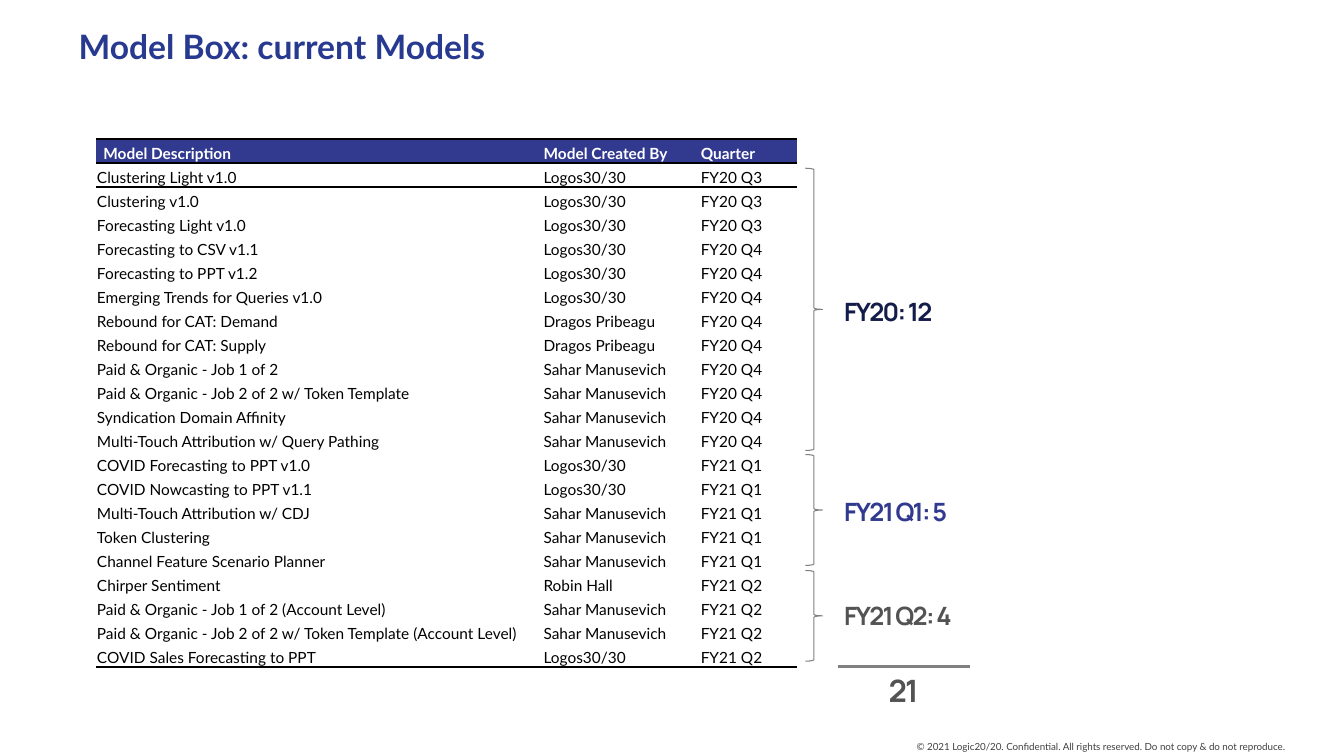
from pptx import Presentation
from pptx.dml.color import RGBColor
from pptx.enum.shapes import MSO_CONNECTOR, MSO_SHAPE
from pptx.enum.text import MSO_ANCHOR, PP_ALIGN
from pptx.oxml import parse_xml
from pptx.oxml.ns import nsdecls, qn
from pptx.util import Pt

TOP, MIDDLE, BOTTOM = MSO_ANCHOR.TOP, MSO_ANCHOR.MIDDLE, MSO_ANCHOR.BOTTOM
LEFT, CENTER = PP_ALIGN.LEFT, PP_ALIGN.CENTER
BRACE, STRAIGHT = MSO_SHAPE.RIGHT_BRACE, MSO_CONNECTOR.STRAIGHT

BLACK = RGBColor(0, 0, 0)
WHITE = RGBColor(255, 255, 255)
TITLE_BLUE = RGBColor(0x28, 0x3A, 0x8F)
BLUE = RGBColor(0x32, 0x3A, 0x8F)
NAVY = RGBColor(0x14, 0x1D, 0x49)
DARK_GRAY = RGBColor(0x53, 0x53, 0x53)
FOOTER_GRAY = RGBColor(0x40, 0x40, 0x40)
LINE_GRAY = RGBColor(0x80, 0x80, 0x80)
NO_STYLE = "{2D5ABB26-0587-4C30-8999-92F81FD0307C}"

HEADER = ("Model Description", "Model Created By", "Quarter")
MODELS = [
    ("Clustering Light v1.0", "Logos30/30", "FY20 Q3"),
    ("Clustering v1.0", "Logos30/30", "FY20 Q3"),
    ("Forecasting Light v1.0", "Logos30/30", "FY20 Q3"),
    ("Forecasting to CSV v1.1", "Logos30/30", "FY20 Q4"),
    ("Forecasting to PPT v1.2", "Logos30/30", "FY20 Q4"),
    ("Emerging Trends for Queries v1.0", "Logos30/30", "FY20 Q4"),
    ("Rebound for CAT: Demand", "Dragos Pribeagu", "FY20 Q4"),
    ("Rebound for CAT: Supply", "Dragos Pribeagu", "FY20 Q4"),
    ("Paid & Organic - Job 1 of 2", "Sahar Manusevich", "FY20 Q4"),
    ("Paid & Organic - Job 2 of 2 w/ Token Template", "Sahar Manusevich", "FY20 Q4"),
    ("Syndication Domain Affinity", "Sahar Manusevich", "FY20 Q4"),
    ("Multi-Touch Attribution w/ Query Pathing", "Sahar Manusevich", "FY20 Q4"),
    ("COVID Forecasting to PPT v1.0", "Logos30/30", "FY21 Q1"),
    ("COVID Nowcasting to PPT v1.1", "Logos30/30", "FY21 Q1"),
    ("Multi-Touch Attribution w/ CDJ", "Sahar Manusevich", "FY21 Q1"),
    ("Token Clustering", "Sahar Manusevich", "FY21 Q1"),
    ("Channel Feature Scenario Planner", "Sahar Manusevich", "FY21 Q1"),
    ("Chirper Sentiment", "Robin Hall", "FY21 Q2"),
    ("Paid & Organic - Job 1 of 2 (Account Level)", "Sahar Manusevich", "FY21 Q2"),
    ("Paid & Organic - Job 2 of 2 w/ Token Template (Account Level)", "Sahar Manusevich", "FY21 Q2"),
    ("COVID Sales Forecasting to PPT", "Logos30/30", "FY21 Q2"),
]


def write(tf, text, size=11, font="Lato", color=BLACK, bold=False, align=LEFT,
          spacing=1.0, tracking=0):
    p = tf.paragraphs[0]
    p.alignment = align
    p.line_spacing = spacing
    r = p.add_run()
    r.text = text
    r.font.size = Pt(size)
    r.font.name = font
    r.font.bold = bold
    r.font.color.rgb = color
    if tracking:
        r._r.get_or_add_rPr().set("spc", str(int(tracking * 100)))
    return p


prs = Presentation()
prs.slide_width, prs.slide_height = Pt(960), Pt(540)
slide = prs.slides.add_slide(prs.slide_layouts[5])
shapes = slide.shapes

title = shapes.title
title.left, title.top, title.width, title.height = Pt(49), Pt(18), Pt(795.6), Pt(70.6)
title.text_frame.vertical_anchor = TOP
write(title.text_frame, "Model Box: current Models", size=24, color=TITLE_BLUE,
      bold=True, spacing=0.9)

footer = shapes.add_textbox(Pt(639.4), Pt(519.1), Pt(293.8), Pt(28.8))
footer.text_frame.word_wrap = True
footer.text_frame.vertical_anchor = MIDDLE
write(footer.text_frame,
      "© 2021 Logic20/20. Confidential. All rights reserved. Do not copy & do not reproduce.",
      size=7, color=FOOTER_GRAY, align=CENTER)

rows = [HEADER] + MODELS
gf = shapes.add_table(len(rows), len(HEADER), Pt(68.6), Pt(99.3), Pt(500.4), Pt(377.3))
gf._element.find(".//" + qn("a:tableStyleId")).text = NO_STYLE
table = gf.table
table.horz_banding = False
for column, width in zip(table.columns, (319, 112.3, 69.1)):
    column.width = Pt(width)
for i, row in enumerate(rows):
    table.rows[i].height = Pt(17.15)
    is_header = i == 0
    edges = {0: ("lnT", "lnB"), 1: ("lnT",), len(rows) - 1: ("lnB",)}.get(i, ())
    for j, text in enumerate(row):
        cell = table.cell(i, j)
        cell.vertical_anchor = BOTTOM
        cell.margin_left = cell.margin_right = cell.margin_top = Pt(0.7)
        cell.margin_bottom = 0
        p = write(cell.text_frame, text, bold=is_header,
                  color=WHITE if is_header else BLACK)
        if is_header and j == 0:
            p._p.get_or_add_pPr().set("indent", str(Pt(4.5)))
        for edge in edges:
            cell._tc.get_or_add_tcPr().append(parse_xml(
                f'<a:{edge} {nsdecls("a")} w="{Pt(2)}"><a:solidFill>'
                f'<a:srgbClr val="{BLACK}"/></a:solidFill></a:{edge}>'))
        cell.fill.solid()
        cell.fill.fore_color.rgb = BLUE if is_header else WHITE

for top, height in ((120.2, 201.6), (324.7, 79.2), (407.5, 64.8)):
    sp = shapes.add_shape(BRACE, Pt(575.3), Pt(top), Pt(12.2), Pt(height))
    sp.shadow.inherit = False
    sp.fill.background()
    sp.line.color.rgb = LINE_GRAY
    sp.line.width = Pt(0.75)

total_line = shapes.add_connector(STRAIGHT, Pt(598.3), Pt(476), Pt(692.6), Pt(476))
total_line.line.color.rgb = LINE_GRAY
total_line.line.width = Pt(2.25)
total_line._element.spPr.append(parse_xml(f'<a:effectLst {nsdecls("a")}/>'))

for text, left, top, width, height, size, color, align in (
    ("FY20: 12", 599, 204.5, 77, 31.7, 18, NAVY, LEFT),
    ("FY21 Q1: 5", 599, 347, 94.3, 31.7, 18, BLUE, LEFT),
    ("FY21 Q2: 4", 599, 421.9, 90.7, 31.7, 18, DARK_GRAY, LEFT),
    ("21", 598.3, 471.6, 94.3, 37.4, 22, DARK_GRAY, CENTER),
):
    tf = shapes.add_textbox(Pt(left), Pt(top), Pt(width), Pt(height)).text_frame
    tf.word_wrap = True
    tf.vertical_anchor = MIDDLE
    tf.margin_left = tf.margin_right = tf.margin_top = tf.margin_bottom = Pt(4)
    write(tf, text, size=size, font="Manrope", color=color, bold=True, align=align,
          spacing=1.2, tracking=-1.2)

prs.save("out.pptx")
